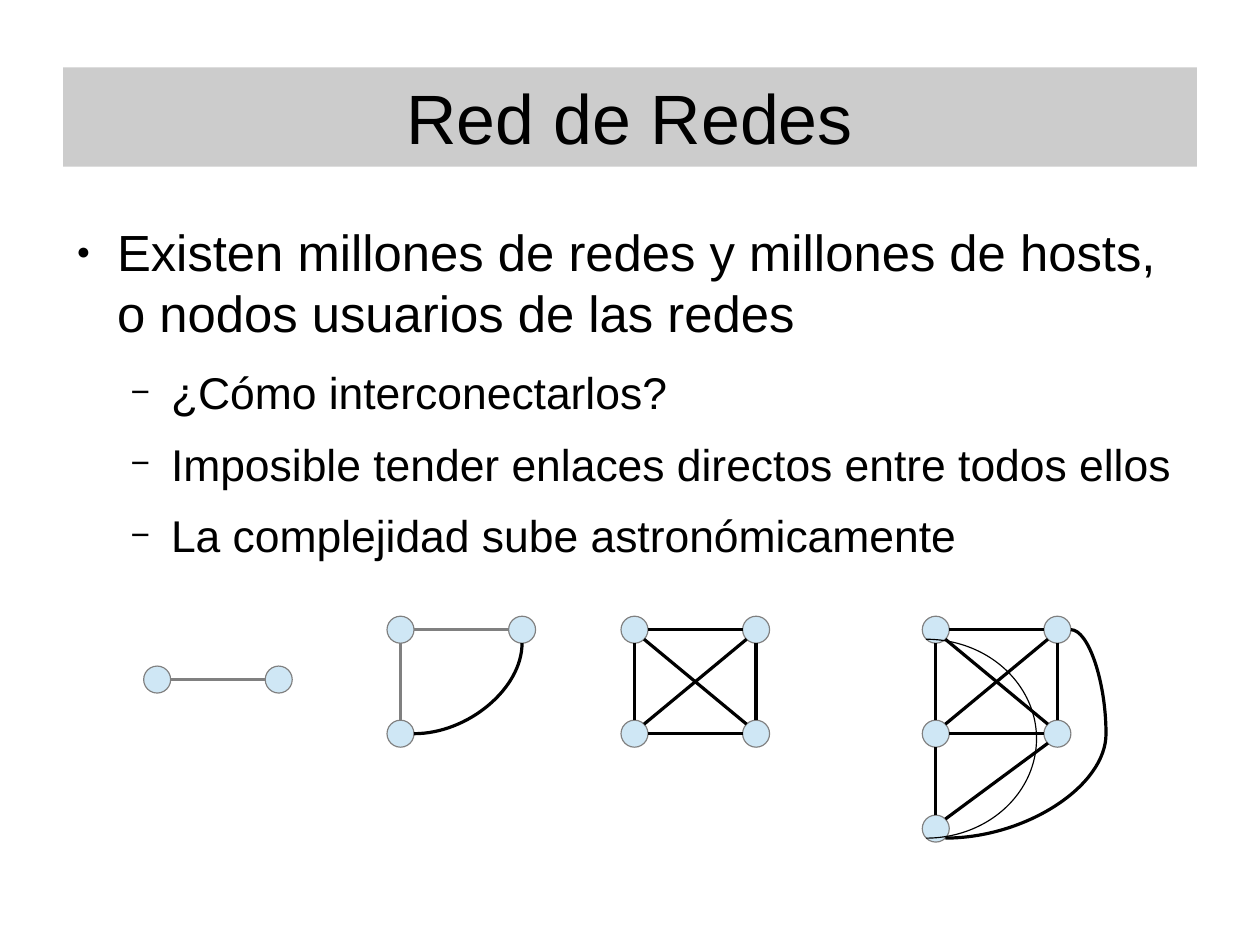
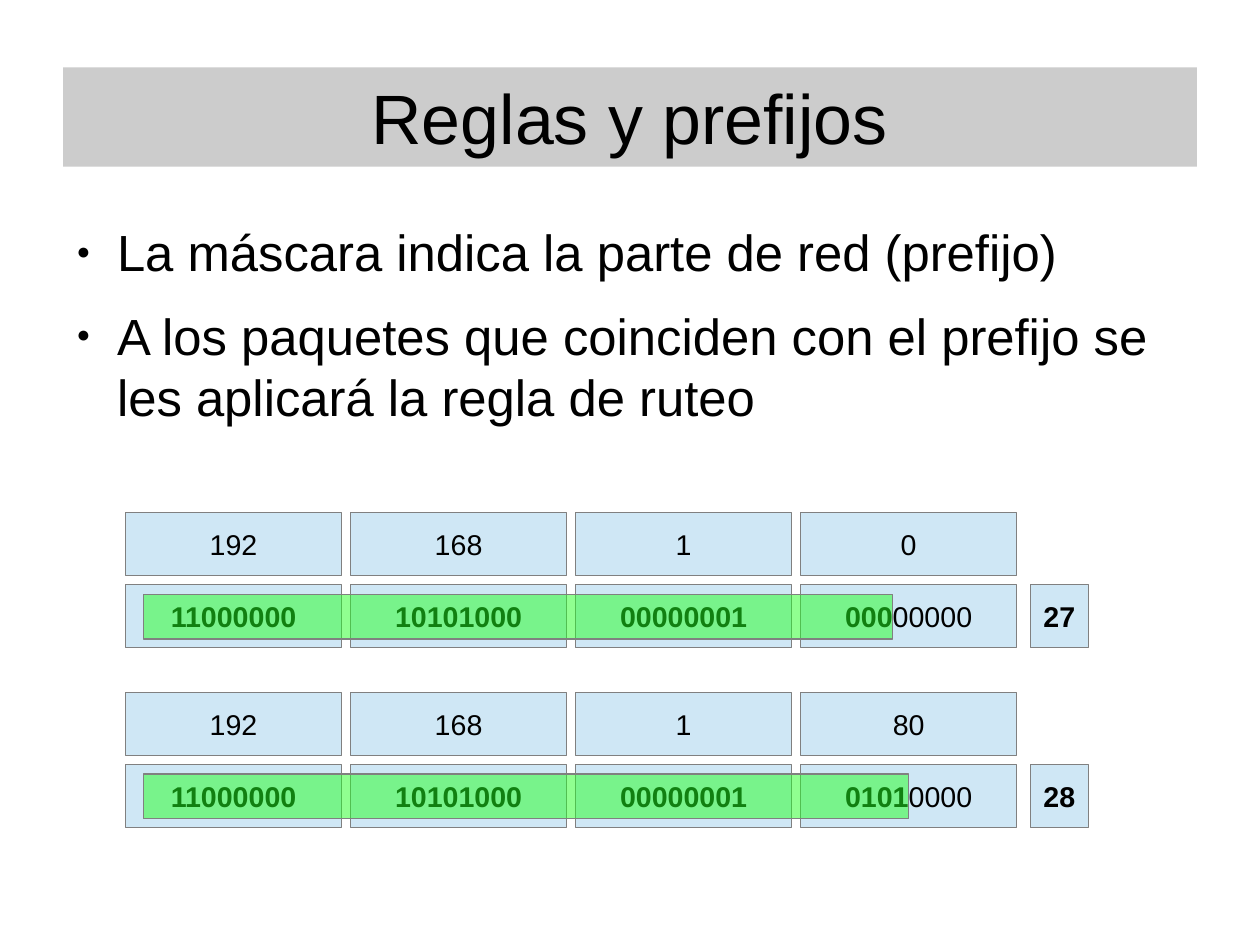
import math
from dataclasses import dataclass

from lxml import etree
from pptx import Presentation
from pptx.dml.color import RGBColor
from pptx.enum.shapes import MSO_CONNECTOR, MSO_SHAPE
from pptx.enum.text import MSO_ANCHOR, MSO_AUTO_SIZE, PP_ALIGN
from pptx.oxml.ns import qn
from pptx.util import Pt

RECTANGLE, OVAL, ARC = MSO_SHAPE.RECTANGLE, MSO_SHAPE.OVAL, MSO_SHAPE.ARC
STRAIGHT, CURVE = MSO_CONNECTOR.STRAIGHT, MSO_CONNECTOR.CURVE
CENTER, MIDDLE, TOP_ANCHOR = PP_ALIGN.CENTER, MSO_ANCHOR.MIDDLE, MSO_ANCHOR.TOP
NO_AUTOFIT = MSO_AUTO_SIZE.NONE


@dataclass(frozen=True)
class Theme:
    font: str = "Arial"
    text: str = "000000"
    band: str = "CCCCCC"
    fill: str = "CFE7F5"
    outline: str = "808080"
    highlight: str = "23FF23"
    title_size: float = 44
    cell_size: float = 18
    hairline: float = 0


@dataclass(frozen=True)
class Level:
    size: float
    bullet: str
    bullet_percent: int
    margin: float
    space_after: float


THEME = Theme()
LEVELS = (Level(32, "●", 45, 34, 14.2), Level(28, "−", 75, 68, 11.3))
HANGING = 25.5

# Boxes: left, top, width, height
SLIDE_SIZE = (793.7, 595.3)
BAND_BOX = (39.7, 42.5, 714.2, 62.6)
TITLE_BOX = (39.7, 23.7, 714.2, 99.4)
BODY_BOX = (39.7, 139.2, 698.4, 344.9)

# Network graphs; ellipse sites run anticlockwise in eighths from the top
NODE_SIZE = 17
COLUMN_STEP = 76.6
ROW_OFFSETS = (0, 65.5, 125.3)
TOP, TOP_LEFT, LEFT, BOTTOM_LEFT, BOTTOM, BOTTOM_RIGHT, RIGHT, TOP_RIGHT = range(8)
SQUARE_NODES = ((0, 0), (1, 0), (0, 1), (1, 1))
SQUARE_LINKS = (
    (0, RIGHT, 1, LEFT), (0, BOTTOM, 2, TOP), (2, RIGHT, 3, LEFT),
    (3, TOP, 1, BOTTOM), (0, BOTTOM_RIGHT, 3, TOP_LEFT), (2, TOP_RIGHT, 1, BOTTOM_LEFT),
)

# Address grid
CELL_WIDTH, CELL_HEIGHT = 136.2, 39.7
COLUMN_PITCH, ROW_PITCH = 141.75, 45.3
PREFIX_LEFT, PREFIX_WIDTH = 569.9, 36.8
HIGHLIGHT_INSET, HIGHLIGHT_TOP, HIGHLIGHT_HEIGHT = 11.4, 51.2, 28.3
DIGIT_WIDTH = 10


def color(value):
    return RGBColor.from_string(value)


def place(shape, box):
    shape.left, shape.top, shape.width, shape.height = map(Pt, box)


def add_run(paragraph, text, size, bold=False):
    run = paragraph.add_run()
    run.text = text
    run.font.name, run.font.size, run.font.bold = THEME.font, Pt(size), bold
    run.font.color.rgb = color(THEME.text)


def set_line(shape, line_color):
    shape.line.color.rgb = color(line_color)
    shape.line.width = Pt(THEME.hairline)


def add_box(slide, kind, box, fill=None, outline=None):
    shape = slide.shapes.add_shape(kind, *map(Pt, box))
    shape.shadow.inherit = False
    if fill:
        shape.fill.solid()
        shape.fill.fore_color.rgb = color(fill)
    else:
        shape.fill.background()
    if outline:
        set_line(shape, outline)
    else:
        shape.line.fill.background()
    return shape


# Shared layout: grey band, title and body positions
def prepare_layout(layout, slide):
    band = add_box(slide, RECTANGLE, BAND_BOX, THEME.band)
    layout.shapes.element.insert(2, band.element)
    place(layout.placeholders[0], TITLE_BOX)
    place(layout.placeholders[1], BODY_BOX)


def reset_frame(frame, anchor):
    frame.margin_left = frame.margin_top = frame.margin_right = frame.margin_bottom = 0
    frame.word_wrap = True
    frame.auto_size = NO_AUTOFIT
    frame.vertical_anchor = anchor


def fill_title(slide, text):
    frame = slide.shapes.title.text_frame
    reset_frame(frame, MIDDLE)
    paragraph = frame.paragraphs[0]
    paragraph.alignment = CENTER
    add_run(paragraph, text, THEME.title_size)


def set_bullet(paragraph, level):
    properties = paragraph._p.get_or_add_pPr()
    properties.set("marL", str(Pt(level.margin)))
    properties.set("indent", str(-Pt(HANGING)))
    bullet_color = etree.SubElement(properties, qn("a:buClr"))
    etree.SubElement(bullet_color, qn("a:srgbClr"), val=THEME.text)
    etree.SubElement(properties, qn("a:buSzPct"), val=str(level.bullet_percent * 1000))
    etree.SubElement(properties, qn("a:buFont"), typeface=THEME.font)
    etree.SubElement(properties, qn("a:buChar"), char=level.bullet)


def fill_body(slide, items):
    frame = slide.placeholders[1].text_frame
    reset_frame(frame, TOP_ANCHOR)
    for index, (depth, text) in enumerate(items):
        paragraph = frame.add_paragraph() if index else frame.paragraphs[0]
        level = LEVELS[depth]
        paragraph.level = depth
        paragraph.space_before, paragraph.space_after = Pt(0), Pt(level.space_after)
        set_bullet(paragraph, level)
        add_run(paragraph, text, level.size)


# Network graph parts
def site_point(node, site):
    angle = math.radians(-90 - 45 * site)
    radius = node.width / 2
    return (round(node.left + radius * (1 + math.cos(angle))),
            round(node.top + radius * (1 + math.sin(angle))))


def link(slide, nodes, ends, line_color=THEME.text, kind=STRAIGHT):
    start, start_site, end, end_site = ends
    connector = slide.shapes.add_connector(
        kind, *site_point(nodes[start], start_site), *site_point(nodes[end], end_site))
    set_line(connector, line_color)
    properties = connector.element.find(qn("p:spPr"))
    etree.SubElement(properties, qn("a:effectLst"))
    joints = connector.element.find(".//" + qn("p:cNvCxnSpPr"))
    for tag, node, site in (("a:stCxn", start, start_site), ("a:endCxn", end, end_site)):
        etree.SubElement(joints, qn(tag), id=str(nodes[node].shape_id), idx=str(site))
    return connector


def curve_link(slide, nodes, ends, preset, bulge=None):
    connector = link(slide, nodes, ends, kind=CURVE)
    geometry = connector.element.find(".//" + qn("a:prstGeom"))
    geometry.set("prst", preset)
    if bulge:
        guides = geometry.find(qn("a:avLst"))
        if guides is None:
            guides = etree.SubElement(geometry, qn("a:avLst"))
        etree.SubElement(guides, qn("a:gd"), name="adj1", fmla=f"val {round(bulge * 100000)}")


def half_arc(slide, upper, lower, reach):
    left, top = site_point(upper, BOTTOM_LEFT)
    bottom = site_point(lower, BOTTOM_LEFT)[1]
    box = (left / Pt(1) - reach, top / Pt(1), 2 * reach, (bottom - top) / Pt(1))
    arc = add_box(slide, ARC, box, outline=THEME.text)
    arc.adjustments[0], arc.adjustments[1] = 162, 54  # 270° to 90°


def draw_graph(slide, left, top, positions, links, line_color=THEME.text):
    nodes = [
        add_box(slide, OVAL, (left + column * COLUMN_STEP, top + ROW_OFFSETS[row],
                              NODE_SIZE, NODE_SIZE), THEME.fill, THEME.outline)
        for column, row in positions
    ]
    for ends in links:
        link(slide, nodes, ends, line_color)
    return nodes


def build_network_slide(slide):
    fill_title(slide, "Red de Redes")
    fill_body(slide, (
        (0, "Existen millones de redes y millones de hosts, o nodos usuarios de las redes"),
        (1, "¿Cómo interconectarlos?"),
        (1, "Imposible tender enlaces directos entre todos ellos"),
        (1, "La complejidad sube astronómicamente"),
    ))
    # Two, three, four and five nodes
    top = 388.2
    draw_graph(slide, 90.5, 419.6, SQUARE_NODES[:2], SQUARE_LINKS[:1], THEME.outline)
    three = draw_graph(slide, 243.8, top, SQUARE_NODES[:3], SQUARE_LINKS[:2], THEME.outline)
    curve_link(slide, three, (2, RIGHT, 1, BOTTOM), "curvedConnector2")
    draw_graph(slide, 391.2, top, SQUARE_NODES, SQUARE_LINKS)
    five = draw_graph(slide, 581, top, SQUARE_NODES + ((0, 2),), SQUARE_LINKS + (
        (4, TOP, 2, BOTTOM), (4, TOP_RIGHT, 3, BOTTOM_LEFT)))
    half_arc(slide, five[0], five[4], 69.5)
    curve_link(slide, five, (4, BOTTOM_RIGHT, 1, RIGHT), "curvedConnector3", 1.28)


# Address grid parts
def add_cell(slide, left, top, width, runs):
    cell = add_box(slide, RECTANGLE, (left, top, width, CELL_HEIGHT),
                   THEME.fill, THEME.outline)
    frame = cell.text_frame
    frame.word_wrap = False
    frame.vertical_anchor = MIDDLE
    paragraph = frame.paragraphs[0]
    paragraph.alignment = CENTER
    for text, bold in runs:
        if text:
            add_run(paragraph, text, THEME.cell_size, bold)


def draw_address(slide, left, top, octets, prefix):
    bits_top = top + ROW_PITCH
    for index, octet in enumerate(octets):
        cell_left = left + index * COLUMN_PITCH
        bits = f"{octet:08b}"
        network_bits = min(max(prefix - 8 * index, 0), 8)
        add_cell(slide, cell_left, top, CELL_WIDTH, ((str(octet), False),))
        add_cell(slide, cell_left, bits_top, CELL_WIDTH,
                 ((bits[:network_bits], True), (bits[network_bits:], False)))
    add_cell(slide, left + PREFIX_LEFT, bits_top, PREFIX_WIDTH, ((str(prefix), True),))
    # Translucent bar ending after the last network bit
    right = cell_left + CELL_WIDTH / 2 + (network_bits - 4) * DIGIT_WIDTH
    bar_left = left + HIGHLIGHT_INSET
    bar = add_box(slide, RECTANGLE, (bar_left, top + HIGHLIGHT_TOP, right - bar_left,
                                     HIGHLIGHT_HEIGHT), THEME.highlight, THEME.outline)
    fill_color = bar.element.find(".//" + qn("a:srgbClr"))
    etree.SubElement(fill_color, qn("a:alpha"), val="50000")


def build_prefix_slide(slide):
    fill_title(slide, "Reglas y prefijos")
    fill_body(slide, (
        (0, "La máscara indica la parte de red (prefijo)"),
        (0, "A los paquetes que coinciden con el prefijo se les aplicará la regla de ruteo"),
    ))
    draw_address(slide, 79, 323.1, (192, 168, 1, 0), 27)
    draw_address(slide, 79, 436.4, (192, 168, 1, 80), 28)


def main():
    presentation = Presentation()
    presentation.slide_width, presentation.slide_height = map(Pt, SLIDE_SIZE)
    layout = presentation.slide_layouts[1]
    slides = [presentation.slides.add_slide(layout) for _ in range(2)]
    prepare_layout(layout, slides[0])
    build_network_slide(slides[0])
    build_prefix_slide(slides[1])
    presentation.save("out.pptx")


if __name__ == "__main__":
    main()
